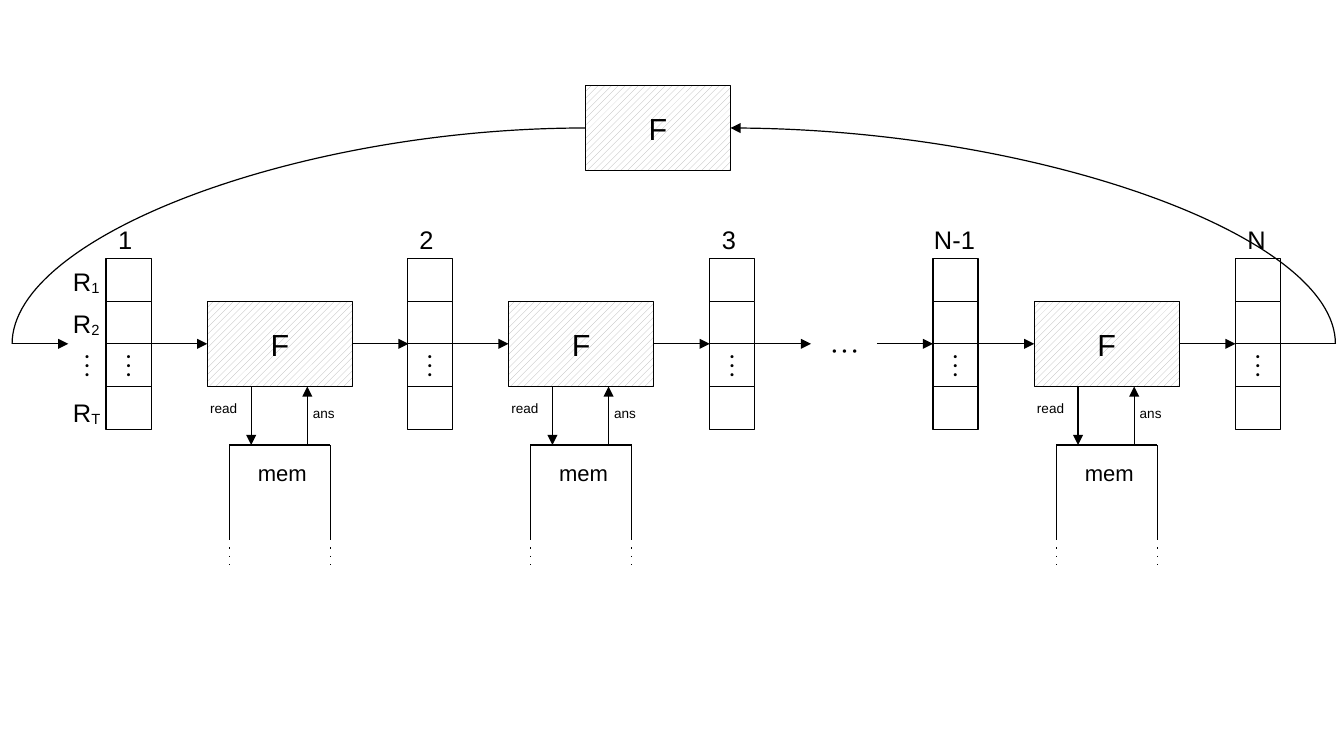
from lxml import etree
from pptx import Presentation, util as u
from pptx.dml.color import RGBColor
from pptx.enum import dml, shapes as kinds, text as t
from pptx.oxml import ns

BLACK, WHITE, HATCH = "000000", "FFFFFF", "B2B2B2"
LINE_WIDTH = 0.71

CELL_WIDTH, CELL_HEIGHT = 0.37, 0.35
COLUMN_TOP, ROWS = 2.12, 4
FLOW_Y = COLUMN_TOP + 2 * CELL_HEIGHT
BLOCK_WIDTH, BLOCK_HEIGHT = 1.19, 0.7
ARROW_LENGTH = 0.46
MEMORY_TOP, MEMORY_WIDTH = 3.65, 0.83
LOOP_Y, LOOP_LEFT, LOOP_RIGHT, LOOP_BLOCK = 1.05, 0.1, 10.95, 4.8

COLUMNS = {"1": 0.87, "2": 3.34, "3": 5.82, "N-1": 7.65, "N": 10.13}
COLUMNS_BEFORE_BLOCK = ("1", "2", "N-1")
REGISTERS = {"1": 2.13, "2": 2.48, "T": 3.21}


def color(hex_string):
    return RGBColor.from_string(hex_string)


def add_span(para, words, size, font, baseline=None):
    span = para.add_run()
    span.text = words
    span.font.size = u.Pt(size)
    span.font.name = font
    span.font.color.rgb = color(BLACK)
    properties = span._r.get_or_add_rPr()
    etree.SubElement(properties, ns.qn("a:ea"), typeface=font)
    if baseline is not None:
        properties.set("baseline", str(baseline * 1000))


def write(shape, words, size=15, font="Arial", align=t.PP_ALIGN.CENTER,
          anchor=t.MSO_ANCHOR.MIDDLE, wrap=True, subscript=None):
    frame = shape.text_frame
    frame.word_wrap = wrap
    frame.vertical_anchor = anchor
    para = frame.paragraphs[0]
    para.alignment = align
    add_span(para, words, size, font)
    if subscript:
        add_span(para, subscript, size, font, baseline=-8)


def add_label(shapes, words, left, top, width, height, **style):
    box = shapes.add_textbox(*map(u.Inches, (left, top, width, height)))
    write(box, words, **style)


def add_box(shapes, left, top, width, height):
    box = shapes.add_shape(kinds.MSO_SHAPE.RECTANGLE,
                           *map(u.Inches, (left, top, width, height)))
    box.shadow.inherit = False
    box.fill.solid()
    box.fill.fore_color.rgb = color(WHITE)
    box.line.color.rgb = color(BLACK)
    box.line.width = u.Pt(LINE_WIDTH)
    return box


def add_line(shapes, x1, y1, x2, y2, head=False, tail=False, dotted=False,
             kind=kinds.MSO_CONNECTOR.STRAIGHT):
    """Draw a line; head and tail put an arrowhead at its start and end."""
    line = shapes.add_connector(kind, *map(u.Inches, (x1, y1, x2, y2)))
    line.line.color.rgb = color(BLACK)
    line.line.width = u.Pt(LINE_WIDTH)
    outline = line.line._get_or_add_ln()
    if dotted:
        dashes = etree.SubElement(outline, ns.qn("a:custDash"))
        etree.SubElement(dashes, ns.qn("a:ds"), d="100000", sp="600000")
    for wanted, end in ((head, "a:headEnd"), (tail, "a:tailEnd")):
        if wanted:
            etree.SubElement(outline, ns.qn(end), type="triangle")
    etree.SubElement(line._element.spPr, ns.qn("a:effectLst"))
    return line


def add_quarter_curve(shapes, x1, y1, x2, y2, **ends):
    """Leave the start horizontally and reach the end vertically."""
    curve = add_line(shapes, x1, y1, x2, y2, kind=kinds.MSO_CONNECTOR.CURVE, **ends)
    curve._element.spPr.find(ns.qn("a:prstGeom")).set("prst", "curvedConnector2")


def add_flow_arrow(shapes, left):
    add_line(shapes, left, FLOW_Y, left + ARROW_LENGTH, FLOW_Y, tail=True)


def add_function_block(shapes, left, top):
    block = add_box(shapes, left, top, BLOCK_WIDTH, BLOCK_HEIGHT)
    block.fill.patterned()
    block.fill.pattern = dml.MSO_PATTERN.WIDE_UPWARD_DIAGONAL
    block.fill.fore_color.rgb = color(HATCH)
    block.fill.back_color.rgb = color(WHITE)
    write(block, "F", size=18)


def add_column(shapes, name, left):
    for row in range(ROWS):
        add_box(shapes, left, COLUMN_TOP + row * CELL_HEIGHT, CELL_WIDTH, CELL_HEIGHT)
    add_label(shapes, "⋮", left, 2.8, CELL_WIDTH, 0.4, size=16, font="Cambria")
    extra = 0.09 if len(name) > 1 else 0
    add_label(shapes, name, left - extra, 1.8, CELL_WIDTH + 2 * extra, 0.33,
              align=t.PP_ALIGN.LEFT)


def add_memory(shapes, left):
    right = left + MEMORY_WIDTH
    add_line(shapes, left, MEMORY_TOP, right, MEMORY_TOP)
    for x in (left, right):
        add_line(shapes, x, MEMORY_TOP, x, 4.43)
        add_line(shapes, x, 4.49, x, 4.65, dotted=True)
    add_label(shapes, "mem", left + 0.12, 3.73, 0.63, 0.3, size=13)


def add_stage(shapes, left):
    """Draw a function block with its memory and the arrows around it."""
    bottom = FLOW_Y + BLOCK_HEIGHT / 2
    add_memory(shapes.add_group_shape().shapes, left + 0.18)
    add_line(shapes, left + 0.36, bottom, left + 0.36, MEMORY_TOP, tail=True)
    add_line(shapes, left + 0.82, MEMORY_TOP, left + 0.82, bottom, tail=True)
    add_label(shapes, "read", left - 0.1, 3.2, 0.47, 0.3, size=8)
    add_label(shapes, "ans", left + 0.72, 3.28, 0.47, 0.22, size=8)
    add_function_block(shapes, left, FLOW_Y - BLOCK_HEIGHT / 2)
    add_flow_arrow(shapes, left - ARROW_LENGTH)
    add_flow_arrow(shapes, left + BLOCK_WIDTH)


def add_register_names(shapes):
    style = dict(align=t.PP_ALIGN.LEFT, anchor=t.MSO_ANCHOR.TOP, wrap=False)
    for index, top in REGISTERS.items():
        add_label(shapes, "R", 0.5, top, 0.44, 0.33, subscript=index, **style)
    add_label(shapes, "⋮", 0.59, 2.82, 0.42, 0.4, size=16, font="Cambria", **style)


def add_feedback_loop(shapes):
    add_quarter_curve(shapes, LOOP_BLOCK + BLOCK_WIDTH, LOOP_Y, LOOP_RIGHT, FLOW_Y,
                      head=True)
    add_quarter_curve(shapes, LOOP_BLOCK, LOOP_Y, LOOP_LEFT, FLOW_Y)
    add_function_block(shapes, LOOP_BLOCK, LOOP_Y - BLOCK_HEIGHT / 2)
    add_line(shapes, COLUMNS["N"] + CELL_WIDTH, FLOW_Y, LOOP_RIGHT, FLOW_Y)
    add_flow_arrow(shapes, LOOP_LEFT)


def main():
    deck = Presentation()
    deck.slide_width, deck.slide_height = u.Inches(11.02), u.Inches(6.2)
    page = deck.slides.add_slide(deck.slide_layouts[6])
    shapes = page.shapes
    for name in COLUMNS_BEFORE_BLOCK:
        add_stage(shapes, COLUMNS[name] + CELL_WIDTH + ARROW_LENGTH)
    for name, left in COLUMNS.items():
        add_column(shapes, name, left)
    add_register_names(shapes)
    add_flow_arrow(shapes, COLUMNS["3"] + CELL_WIDTH)
    add_label(shapes, "⋯", 6.65, 2.63, 0.55, 0.44, size=18, font="Cambria")
    add_flow_arrow(shapes, COLUMNS["N-1"] - ARROW_LENGTH)
    add_feedback_loop(shapes)
    deck.save("out.pptx")


if __name__ == "__main__":
    main()
